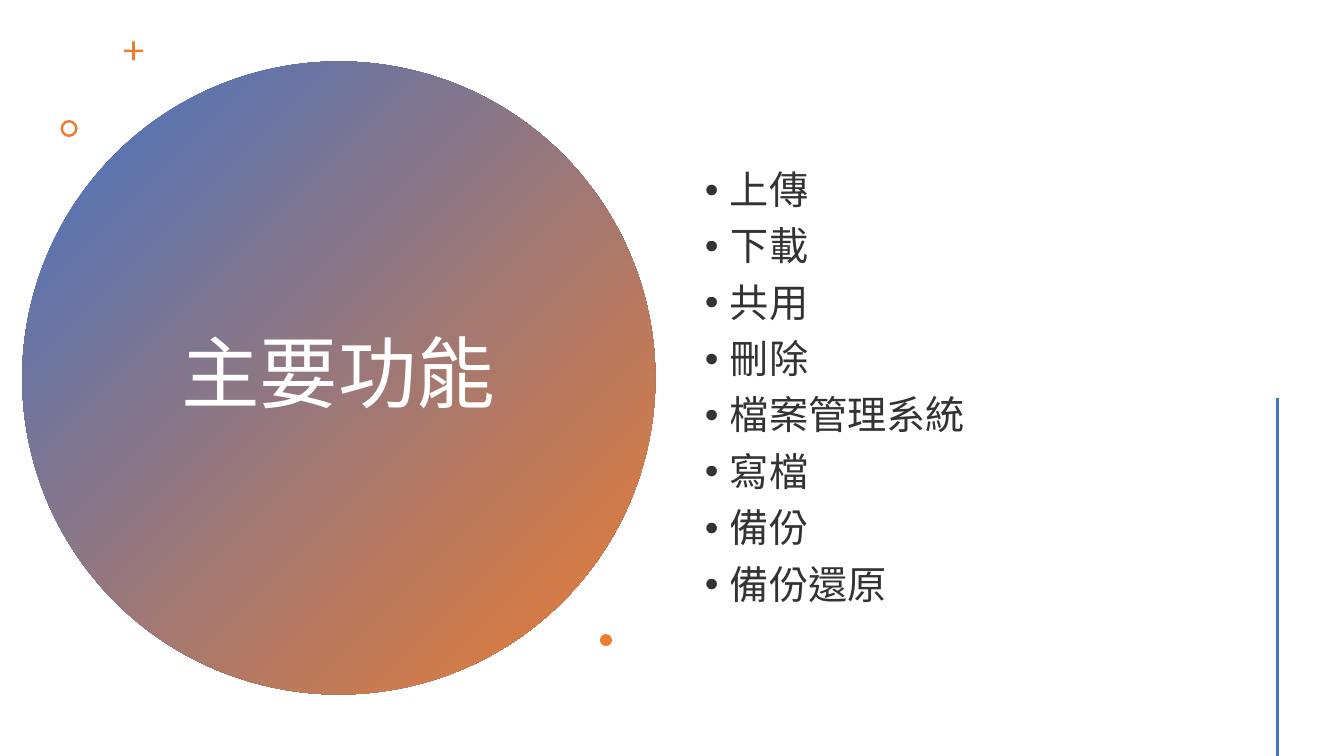
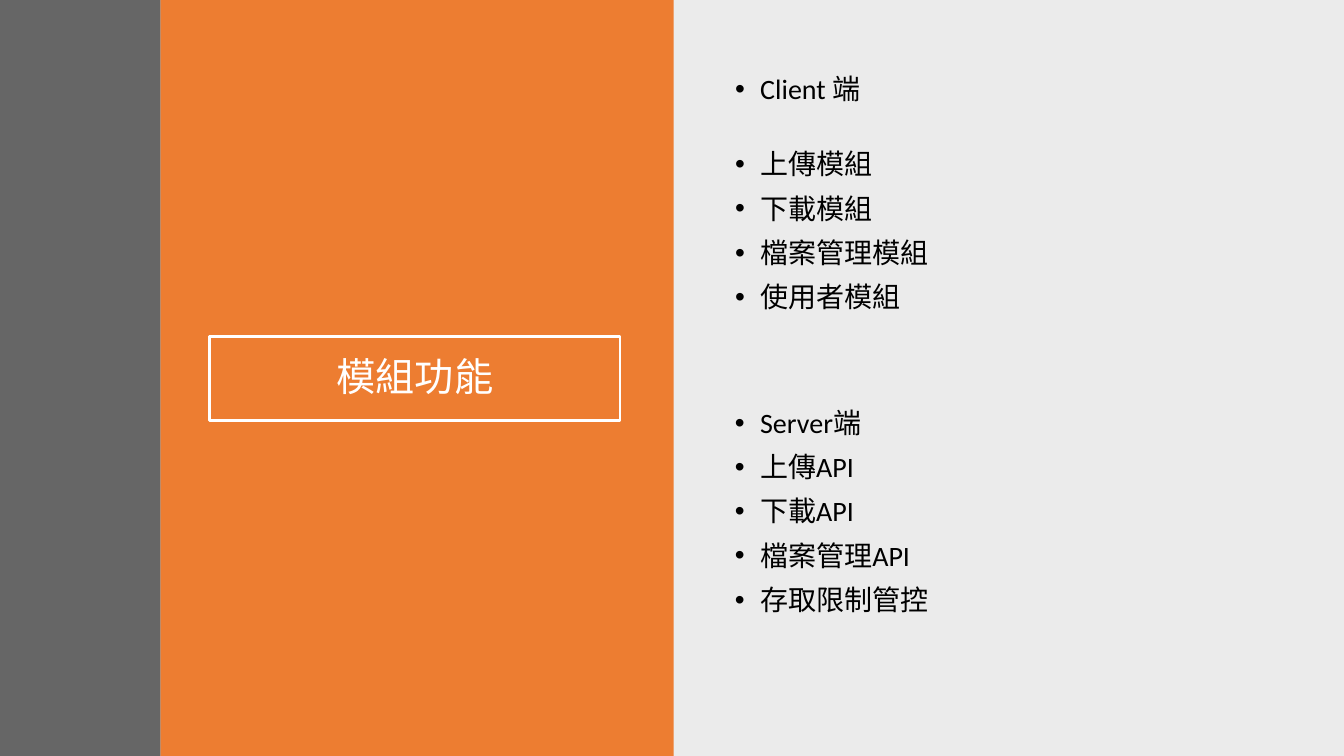
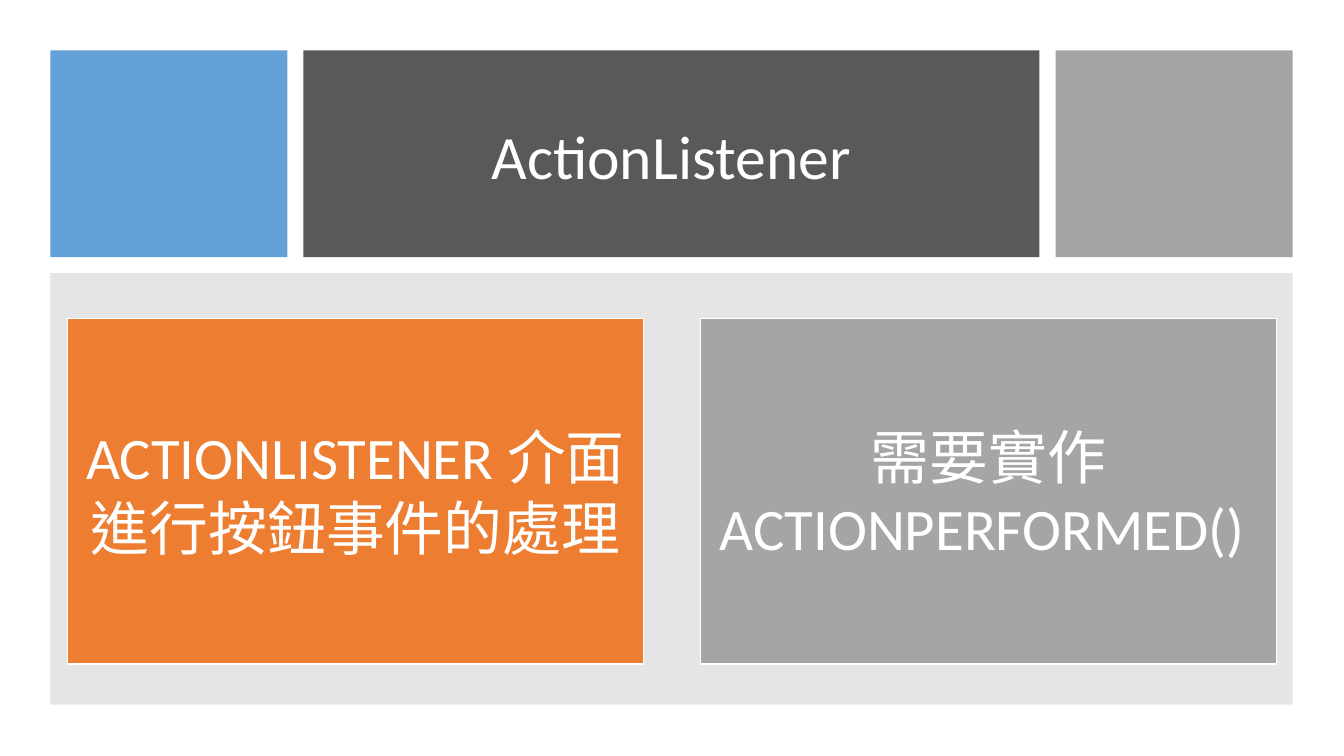
from lxml import etree
from pptx import Presentation
from pptx import util as u
from pptx.dml.color import RGBColor
from pptx.enum import shapes, text
from pptx.oxml import ns

# Shared style
BLUE, ORANGE, GRAY, DARK = "4472C4", "ED7D31", "A5A5A5", "595959"
BLACK, WHITE = "000000", "FFFFFF"
FONT, CJK_FONT = "Calibri", "Noto Sans CJK TC"
WIDTH, HEIGHT = 13.33, 7.5
TITLE_AND_CONTENT, TITLE_ONLY = 1, 5
SHAPE = shapes.MSO_SHAPE


def add_xml(parent, tag, **attributes):
    element = etree.SubElement(parent, ns.qn(tag))
    for name, value in attributes.items():
        element.set(name, value)
    return element


def paint(fill, color, alpha=100):
    """Solid colour, with opacity in percent."""
    fill.solid()
    fill.fore_color.rgb = RGBColor.from_string(color)
    if alpha < 100:
        for node in fill._xPr.iter(ns.qn("a:srgbClr")):
            add_xml(node, "a:alpha", val=str(alpha * 1000))


def outline(shape, color, width):
    paint(shape.line.fill, color)
    shape.line.width = u.Pt(width)


def add_block(slide, kind, box, color, alpha=100):
    shape = slide.shapes.add_shape(kind, *map(u.Inches, box))
    shape.shadow.inherit = False
    shape.line.fill.background()
    paint(shape.fill, color, alpha)
    return shape


def add_line(slide, start, end, color, width):
    line = slide.shapes.add_connector(
        shapes.MSO_CONNECTOR.STRAIGHT, *map(u.Inches, start + end))
    outline(line, color, width)
    add_xml(line._element.spPr, "a:effectLst")


def format_paragraph(paragraph, content, size, color=BLACK, alpha=100, font=FONT,
                     align=text.PP_ALIGN.LEFT, spacing=0.9, before=0, bullet=False):
    paragraph.text = content
    if bullet:
        properties = paragraph._p.get_or_add_pPr()
        properties.set("marL", str(u.Inches(0.25)))
        properties.set("indent", str(-u.Inches(0.25)))
        add_xml(properties, "a:buFont", typeface="Arial")
        add_xml(properties, "a:buChar", char="•")
    paragraph.alignment = align
    paragraph.line_spacing = spacing
    paragraph.space_before = u.Pt(before)
    for run in paragraph.runs:
        run.font.size = u.Pt(size)
        run.font.name = font
        paint(run.font.fill, color, alpha)
        properties = run._r.get_or_add_rPr()
        properties.set("lang", "zh-TW")
        add_xml(properties, "a:ea", typeface=FONT)


def write(shape, items, anchor=text.MSO_ANCHOR.MIDDLE, inset=None, before=0, **style):
    """Write paragraphs; an item may be (text, own format)."""
    frame = shape.text_frame
    frame.word_wrap = True
    frame.auto_size = text.MSO_AUTO_SIZE.NONE
    frame.vertical_anchor = anchor
    if inset is not None:
        frame.margin_left = frame.margin_right = u.Inches(inset)
        frame.margin_top = frame.margin_bottom = u.Inches(inset)
    for index, item in enumerate(items):
        content, own = (item, {}) if isinstance(item, str) else item
        paragraph = frame.add_paragraph() if index else frame.paragraphs[0]
        format_paragraph(paragraph, content,
                         **{**style, "before": before if index else 0, **own})


def place(placeholder, box):
    """Move a placeholder and bring it to the front."""
    placeholder.left, placeholder.top, placeholder.width, placeholder.height = map(u.Inches, box)
    element = placeholder._element
    element.getparent().append(element)
    return placeholder


def set_title(slide, content, box, size):
    title = place(slide.shapes.title, box)
    write(title, [content], size=size, color=WHITE, align=text.PP_ALIGN.CENTER)
    return title


def write_list(shape, items, size, **style):
    write(shape, items, size=size, bullet=True, before=10, **style)


def build_features(slide):
    # Gradient disc with the title
    disc = add_block(slide, SHAPE.OVAL, (0.22, 0.61, 6.28, 6.28), BLUE)
    disc.fill.gradient()
    disc.fill.gradient_angle = 315
    for stop, color in zip(disc.fill.gradient_stops, (BLUE, ORANGE)):
        stop.color.rgb = RGBColor.from_string(color)
    set_title(slide, "主要功能", (1.36, 1.41, 3.99, 4.67), 56)

    # Small ornaments
    plus = add_block(slide, SHAPE.CROSS, (1.23, 0.41, 0.19, 0.19), ORANGE)
    plus.adjustments[0] = 0.43
    ring = add_block(slide, SHAPE.DONUT, (0.6, 1.19, 0.17, 0.17), ORANGE)
    ring.adjustments[0] = 0.15
    add_block(slide, SHAPE.OVAL, (5.95, 6.29, 0.12, 0.12), ORANGE)
    add_line(slide, (12.67, 3.95), (12.67, HEIGHT), BLUE, 2)

    # Feature list
    body = place(slide.placeholders[1], (6.89, 0.67, 5.22, 6.38))
    write_list(body, ["上傳", "下載", "共用", "刪除", ("檔案管理系統", {"font": CJK_FONT}),
                      "寫檔", "備份", "備份還原"], 28, alpha=80)


def build_modules(slide):
    # Vertical bands
    for left, right, color, alpha in ((6.67, WIDTH, BLACK, 8), (1.59, 6.68, ORANGE, 100),
                                      (0, 1.59, "404040", 80)):
        add_block(slide, SHAPE.RECTANGLE, (left, 0, right - left, HEIGHT), color, alpha)
    outline(set_title(slide, "模組功能", (2.08, 3.34, 4.07, 0.83), 28), WHITE, 2)

    # Client and server lists
    client = place(slide.placeholders[1], (7.19, 0.7, 5.53, 2.79))
    server = slide.shapes.add_textbox(*map(u.Inches, (7.19, 4.01, 5.53, 2.79)))
    for shape, items in (
            (client, ["Client 端", ("上傳模組", {"before": 32}), "下載模組",
                      "檔案管理模組", "使用者模組"]),
            (server, ["Server端", "上傳API", "下載API", "檔案管理API", "存取限制管控"])):
        write_list(shape, items, 20, anchor=text.MSO_ANCHOR.TOP)


def build_listener(slide):
    # Header tiles and panel
    for left, width, color, alpha in ((0.5, 2.35, "5B9BD5", 95), (3.01, 7.3, DARK, 100),
                                      (10.47, 2.35, GRAY, 100)):
        add_block(slide, SHAPE.RECTANGLE, (left, 0.5, width, 2.05), color, alpha)
    set_title(slide, "ActionListener", (3.33, 0.8, 6.66, 1.56), 44)
    add_block(slide, SHAPE.RECTANGLE, (0.5, 2.71, 12.32, 4.28), "808080", 20)

    # Cards
    for left, color, content in ((0.67, ORANGE, "ACTIONLISTENER 介面\v進行按鈕事件的處理"),
                                 (6.95, GRAY, "需要實作 ACTIONPERFORMED() ")):
        card = add_block(slide, SHAPE.RECTANGLE, (left, 3.16, 5.71, 3.43), color)
        outline(card, WHITE, 1)
        write(card, [content], inset=0.17, size=42, color=WHITE, spacing=1.0,
              align=text.PP_ALIGN.CENTER)


def main():
    presentation = Presentation()
    presentation.slide_width, presentation.slide_height = u.Inches(WIDTH), u.Inches(HEIGHT)
    for build, layout in ((build_features, TITLE_AND_CONTENT),
                          (build_modules, TITLE_AND_CONTENT), (build_listener, TITLE_ONLY)):
        build(presentation.slides.add_slide(presentation.slide_layouts[layout]))
    presentation.save("out.pptx")


if __name__ == "__main__":
    main()
